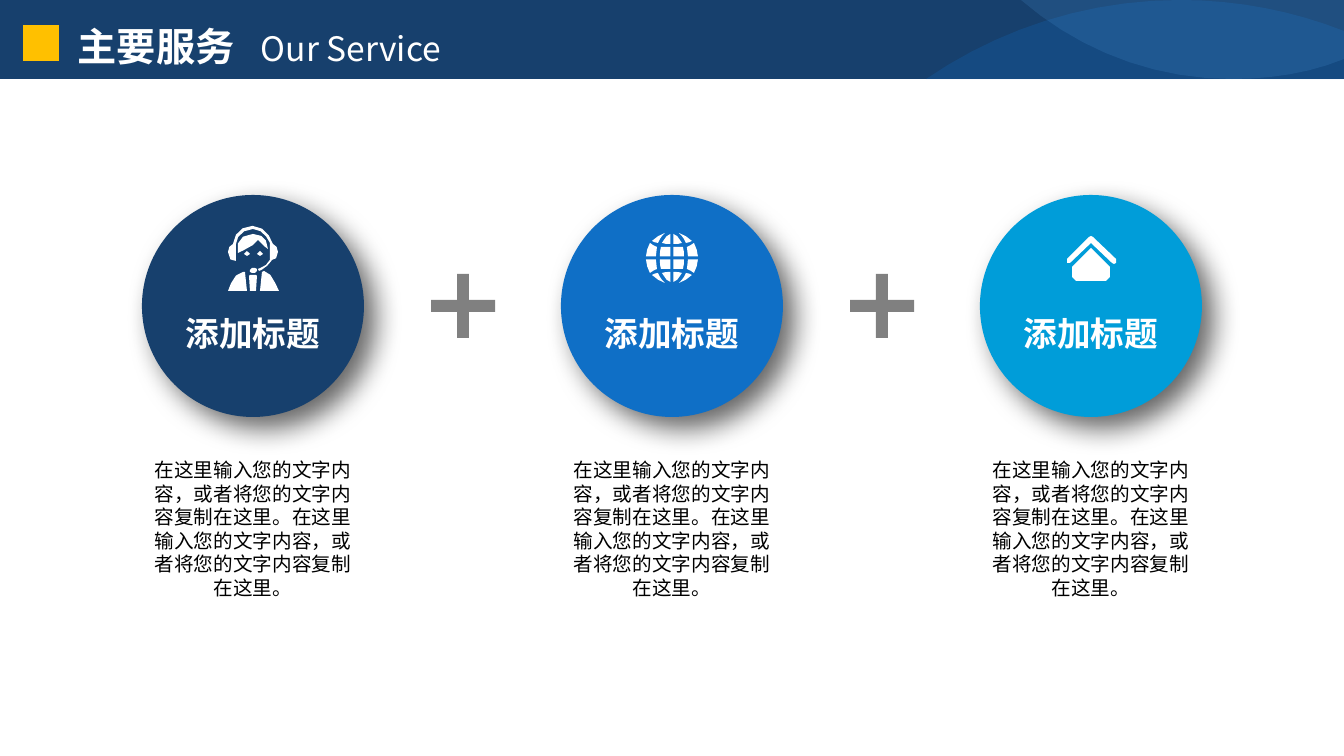
from itertools import product
from math import dist, sqrt

from lxml import etree
from pptx import Presentation
from pptx import util as u
from pptx.dml.color import RGBColor
from pptx.enum import shapes, text
from pptx.oxml.ns import qn

PX = 914400 / 100.8
FONT = "Noto Sans CJK SC"
COLORS = {
    "navy": "17406D", "blue": "0F6FC6", "sky": "59AAF2", "cyan": "009DD9",
    "yellow": "FFC000", "gray": "808080", "white": "FFFFFF", "black": "000000",
}
HEADING = "添加标题"
BODY = "在这里输入您的文字内容，或者将您的文字内容复制在这里。" * 2
FIRST_CENTER, PITCH, CIRCLE_TOP, CIRCLE = 253, 419, 195, 222
PLUS, PLUS_BAR = 64, 12

LOW_WAVE = "M 1180 0 C 1238 0 1293 11 1344 31 L 1344 79 L 926 79 C 999 29 1087 0 1180 0"
HIGH_WAVE = "M 1344 0 L 1344 59 C 1310 73 1271 79 1232 79 C 1151 79 1078 49 1021 0"
EYE = "M 19 25 C 17 25 16 26 16 28 C 16 29 17 30 19 30 C 20 30 22 29 22 28 C 22 26 20 25 19 25"
AGENT = """
M 24 0 C 13 0 6 8 5 18 C 2 19 0 22 0 26 C 0 34 4 35 8 35 L 8 18
C 8 11 15 3 25 3 C 34 3 39 11 42 17 L 42 34 C 41 35 40 36 38 39
C 35 41 30 43 30 43 L 31 45 C 31 45 35 44 39 40 C 42 37 44 34 44 34
C 47 33 50 33 50 26 C 50 22 48 19 45 18 C 42 9 35 0 25 0
M 25 8 C 13 8 7 17 10 27 C 10 27 30 18 30 14 C 35 20 40 23 40 23 C 39 12 35 9 25 8
M 27 42 L 24 42 L 22 44 L 22 46 L 24 47 L 27 47 L 29 45 L 29 43
M 36 45 L 34 46 L 32 65 L 51 65 C 48 59 43 45 36 45
M 15 46 C 7 46 2 59 0 65 L 19 65 L 17 46
M 22 49 L 21 50 L 22 65 L 28 65 L 29 50 L 28 49
"""
GLOBE_QUARTER = """
M 1.5 -24 L 1.5 -14 C 5 -14 8 -14 10 -15 C 9 -16 9 -17 8 -18 C 6 -21 5 -23 1.5 -24
M 1.5 -1.5 L 12 -1.5 C 12 -5 12 -8 11 -11 C 8 -11 5 -11 1.5 -11
M 15 -11 C 15 -8 16 -5 16 -1.5 L 26 -1.5 C 26 -6 24 -11 22 -15 C 20 -13 17 -12 15 -11
M 12 -19 C 12 -18 13 -16 14 -15 C 16 -15 18 -16 20 -17 C 16 -21 12 -23 7 -25 C 9 -23 11 -21 12 -19
"""
HOUSE = """
M 49 28 L 47 27 L 26 7 L 5 27 C 4 29 3 29 2 27 C 0 26 0 25 2 23 L 24 1
L 26 0 L 28 1 L 51 23 C 52 25 52 26 51 27 L 49 28
M 26 12 L 7 31 L 7 41 C 7 43 9 45 11 45 L 41 45 C 43 45 45 43 45 41 L 45 31
"""


def px(value):
    """Turn pixels into EMU."""
    return u.Emu(round(value * PX))


def color(name):
    """Look up a named colour."""
    return RGBColor.from_string(COLORS[name])


def curve(*corners):
    """Return points along a cubic curve, more for longer ones, without its start."""
    points = []
    steps = max(1, round(0.6 * sqrt(dist(corners[0], corners[3]))))
    for step in range(1, steps + 1):
        t = step / steps
        weights = ((1 - t) ** 3, 3 * t * (1 - t) ** 2, 3 * t * t * (1 - t), t ** 3)
        points.append(tuple(sum(w * c[axis] for w, c in zip(weights, corners)) for axis in (0, 1)))
    return points


def contours(outline, flip_x=1, flip_y=1, shift=0):
    """Turn an outline of M, L and C commands into lists of points."""
    tokens = iter(outline.split())

    def point():
        """Read the next pair of numbers."""
        return float(next(tokens)) * flip_x + shift, float(next(tokens)) * flip_y

    result = []
    for command in tokens:
        if command == "M":
            result.append([point()])
        elif command == "L":
            result[-1].append(point())
        else:
            result[-1] += curve(result[-1][-1], point(), point(), point())
    return result


def paint(shape, fill, opacity=100):
    """Give a shape a plain fill without line or shadow."""
    shape.shadow.inherit = False
    shape.line.fill.background()
    shape.fill.solid()
    shape.fill.fore_color.rgb = color(fill)
    if opacity < 100:
        fill_color = shape._element.spPr.find(qn("a:solidFill"))[0]
        etree.SubElement(fill_color, qn("a:alpha"), val=str(opacity * 1000))


def add_preset(slide, kind, left, top, width, height, fill):
    """Add a painted preset shape."""
    shape = slide.shapes.add_shape(kind, px(left), px(top), px(width), px(height))
    paint(shape, fill)
    return shape


def add_outline(slide, outline, left, top, fill, opacity=100):
    """Add a painted freeform made of contours."""
    builder = None
    for contour in outline:
        points = [(px(left + x), px(top + y)) for x, y in contour]
        if builder is None:
            builder = slide.shapes.build_freeform(*points[0])
        else:
            builder.move_to(*points[0])
        builder.add_line_segments(points[1:], close=True)
    paint(builder.convert_to_shape(), fill, opacity)


def add_shadow(shape):
    """Cast a soft shadow to the lower right."""
    effects = shape._element.spPr.find(qn("a:effectLst"))
    shadow = etree.SubElement(
        effects, qn("a:outerShdw"), blurRad=str(u.Pt(20)), dist=str(u.Pt(12)),
        dir="2700000", algn="ctr", rotWithShape="0")
    shade = etree.SubElement(shadow, qn("a:srgbClr"), val=COLORS["black"])
    etree.SubElement(shade, qn("a:alpha"), val="60000")


def add_text(slide, left, top, width, height, runs, fill, align=text.PP_ALIGN.CENTER, tab=None):
    """Add a one-paragraph text box from (words, size, bold) runs."""
    box = slide.shapes.add_textbox(px(left), px(top), px(width), px(height))
    box.text_frame.word_wrap = True
    paragraph = box.text_frame.paragraphs[0]
    paragraph.alignment = align
    paragraph.line_spacing = u.Pt(round(max(size for _, size, _ in runs) * 1.2, 1))
    if tab:
        tabs = etree.SubElement(paragraph._p.get_or_add_pPr(), qn("a:tabLst"))
        etree.SubElement(tabs, qn("a:tab"), pos=str(px(tab)), algn="l")
    for words, size, bold in runs:
        run = paragraph.add_run()
        run.text = words
        run.font.size = u.Pt(size)
        run.font.bold = bold
        run.font.color.rgb = color(fill)
        run.font.name = FONT
        etree.SubElement(run._r.get_or_add_rPr(), qn("a:ea"), typeface=FONT)


def add_header(slide):
    """Add the title bar with its waves, marker and title."""
    rectangle = shapes.MSO_SHAPE.RECTANGLE
    add_preset(slide, rectangle, 0, 0, 1344, 79, "navy")
    add_outline(slide, contours(LOW_WAVE), 0, 0, "blue", 23)
    add_outline(slide, contours(HIGH_WAVE), 0, 0, "sky", 15)
    title = [("主要服务\t", 28, True), ("Our Service", 24, False)]
    add_text(slide, 68, 17, 733, 57, title, "white", text.PP_ALIGN.LEFT, tab=183)
    add_preset(slide, rectangle, 23, 25, 36, 36, "yellow")


def add_service(slide, center, fill, icon, icon_left, icon_top):
    """Add one service: circle, icon, heading and description."""
    left = center - CIRCLE // 2
    add_shadow(add_preset(slide, shapes.MSO_SHAPE.OVAL, left, CIRCLE_TOP, CIRCLE, CIRCLE, fill))
    add_outline(slide, icon, center + icon_left, icon_top, "white")
    add_text(slide, left + 10, 308, CIRCLE - 20, 50, [(HEADING, 24, True)], "white")
    add_text(slide, left, 453, CIRCLE, 152, [(BODY, 14, False)], "black")


def add_plus(slide, center):
    """Add a plus sign level with the circles."""
    top = CIRCLE_TOP + (CIRCLE - PLUS) // 2
    plus = add_preset(slide, shapes.MSO_SHAPE.CROSS, center - PLUS // 2, top, PLUS, PLUS, "gray")
    plus.adjustments[0] = (PLUS - PLUS_BAR) / 2 / PLUS


def main():
    """Build the slide and save it."""
    presentation = Presentation()
    presentation.slide_width, presentation.slide_height = px(1344), px(756)
    slide = presentation.slides.add_slide(presentation.slide_layouts[6])
    add_header(slide)
    agent = contours(AGENT) + contours(EYE) + contours(EYE, shift=13)
    globe = [c for x, y in product((1, -1), repeat=2) for c in contours(GLOBE_QUARTER, x, y)]
    services = [
        ("navy", agent, -25, 226),
        ("blue", globe, 0, 258),
        ("cyan", contours(HOUSE), -26, 236),
    ]
    for index, service in enumerate(services):
        center = FIRST_CENTER + index * PITCH
        if index:
            add_plus(slide, center - PITCH // 2)
        add_service(slide, center, *service)
    presentation.save("out.pptx")


if __name__ == "__main__":
    main()
